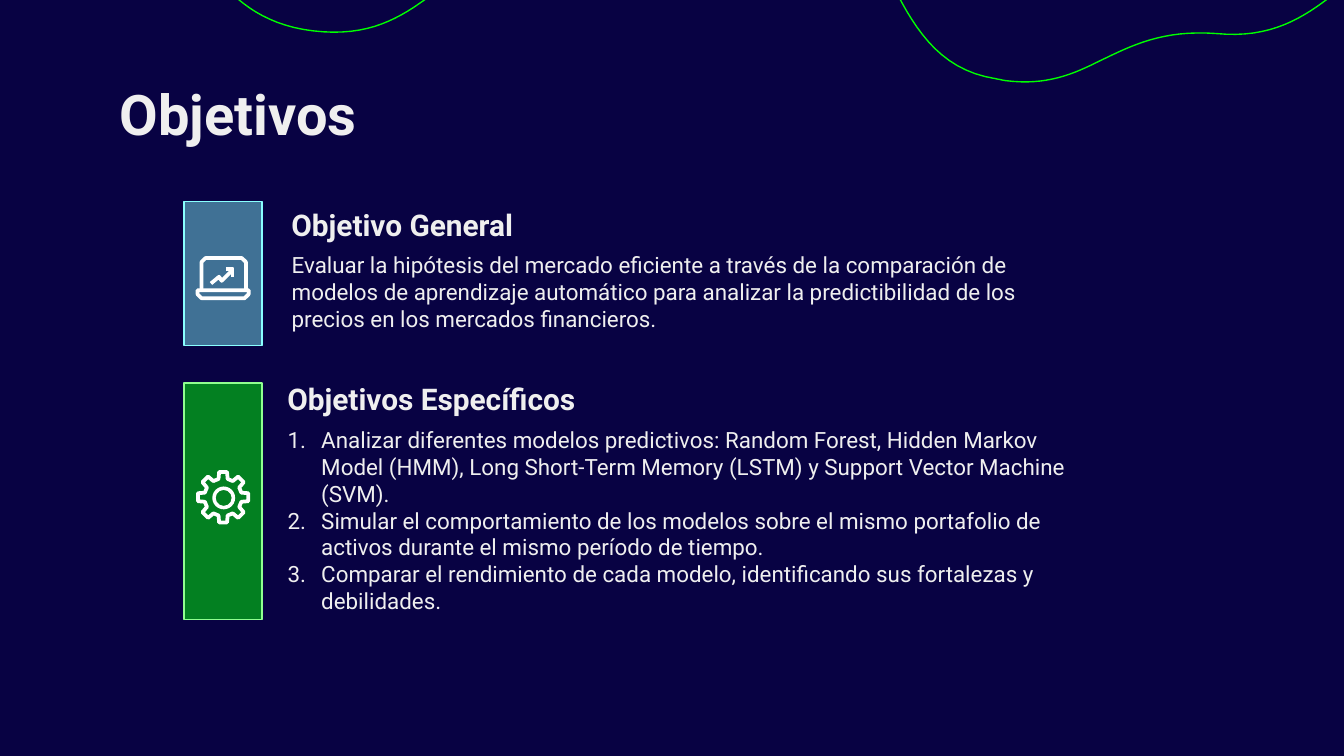
"""Build the "Objetivos" slide: one general objective and three specific ones."""
from math import cos, radians, sin

from lxml.etree import SubElement
from pptx import Presentation
from pptx.dml.color import RGBColor
from pptx.enum.shapes import MSO_SHAPE as Shape
from pptx.enum.text import MSO_ANCHOR as Anchor, MSO_AUTO_SIZE as AutoSize, PP_ALIGN as Align
from pptx.oxml.ns import qn
from pptx.util import Inches, Pt


def color(value):
    return RGBColor.from_string(value)


def draw_outline(shapes, points, line_color, width, close=False):
    corners = [(Inches(x), Inches(y)) for x, y in points]
    builder = shapes.build_freeform(*corners[0])
    builder.add_line_segments(corners[1:], close=close)
    shape = builder.convert_to_shape()
    shape.shadow.inherit = False
    shape.fill.background()
    shape.line.color.rgb = color(line_color)
    shape.line.width = Pt(width)
    SubElement(shape.element.spPr.find(qn("a:ln")), qn("a:round"))


presentation = Presentation()
presentation.slide_width = Inches(10)
presentation.slide_height = Inches(10 * 9 / 16)
slide = presentation.slides.add_slide(presentation.slide_layouts[3])
slide.background.fill.solid()
slide.background.fill.fore_color.rgb = color("080243")

wave_start = (0.77, -0.7)
wave_curves = [
    [(1.18, -0.65), (1.37, -0.44), (1.55, -0.23)],
    [(1.73, -0.03), (1.92, 0.18), (2.33, 0.23)],
    [(2.75, 0.28), (2.98, 0.13), (3.2, -0.03)],
    [(3.43, -0.18), (3.66, -0.34), (4.08, -0.29)],
    [(4.49, -0.24), (4.72, -0.45), (4.95, -0.66)],
    [(5.19, -0.87), (5.42, -1.07), (5.84, -1.02)],
    [(6.24, -0.94), (6.41, -0.6), (6.58, -0.24)],
    [(6.75, 0.11), (6.92, 0.47), (7.33, 0.57)],
    [(7.38, 0.58), (7.43, 0.59), (7.48, 0.6)],
    [(7.79, 0.64), (7.99, 0.55), (8.19, 0.45)],
    [(8.42, 0.34), (8.65, 0.22), (9.05, 0.25)],
    [(9.46, 0.29), (9.7, 0.13), (9.92, -0.04)],
    [(10.15, -0.21), (10.38, -0.38), (10.8, -0.33)],
]
wave = [wave_start]
for control_1, control_2, end in wave_curves:
    start = wave[-1]
    for step in range(1, 17):
        t = step / 16
        wave.append(tuple(
            (1 - t) ** 3 * a + 3 * (1 - t) ** 2 * t * b + 3 * (1 - t) * t ** 2 * c + t ** 3 * d
            for a, b, c, d in zip(start, control_1, control_2, end)
        ))
draw_outline(slide.shapes, wave, "00FF00", 0.75)

panels = [
    (1.5, 1.07, "89FFFF", 44, "89FFFF"),
    (2.85, 1.76, "00FF00", 50, "90FF90"),
]
for top, height, fill_color, opacity, line_color in panels:
    panel = slide.shapes.add_shape(
        Shape.RECTANGLE, Inches(1.37), Inches(top), Inches(0.58), Inches(height))
    panel.shadow.inherit = False
    panel.fill.solid()
    panel.fill.fore_color.rgb = color(fill_color)
    fill_element = panel.element.spPr.find(qn("a:solidFill"))[0]
    SubElement(fill_element, qn("a:alpha"), val=str(opacity * 1000))
    panel.line.color.rgb = color(line_color)
    panel.line.width = Pt(0.75)

title, general_body, specific_body = slide.placeholders
general_heading, specific_heading = [
    slide.shapes.add_textbox(0, 0, Inches(1), Inches(1)) for _ in range(2)]
texts = [
    (title, (0.79, 0.49, 8.43, 0.63), 30, True, ["Objetivos"]),
    (general_heading, (2.07, 1.44, 6.07, 0.8), 16, True, ["Objetivo General"]),
    (general_body, (2.07, 1.77, 6.07, 0.8), 12, False, [
        "Evaluar la hipótesis del mercado eficiente a través de la comparación de modelos de "
        "aprendizaje automático para analizar la predictibilidad de los precios en los "
        "mercados financieros."]),
    (specific_heading, (2.04, 2.73, 6.07, 0.43), 16, True, ["Objetivos Específicos"]),
    (specific_body, (2.04, 3.07, 6.07, 1.66), 12, False, [
        "Analizar diferentes modelos predictivos: Random Forest, Hidden Markov Model (HMM), "
        "Long Short-Term Memory (LSTM) y Support Vector Machine (SVM).",
        "Simular el comportamiento de los modelos sobre el mismo portafolio de activos durante "
        "el mismo período de tiempo.",
        "Comparar el rendimiento de cada modelo, identificando sus fortalezas y debilidades."]),
]
frame_format = {
    "word_wrap": True, "auto_size": AutoSize.NONE, "vertical_anchor": Anchor.TOP,
    "margin_left": Inches(0.1), "margin_top": Inches(0.1),
    "margin_right": Inches(0.1), "margin_bottom": Inches(0.1),
}
paragraph_format = {
    "alignment": Align.LEFT, "space_before": Pt(0), "space_after": Pt(0), "line_spacing": 1.0,
}
for shape, box, size, bold, lines in texts:
    shape.left, shape.top, shape.width, shape.height = map(Inches, box)
    frame = shape.text_frame
    for name, value in frame_format.items():
        setattr(frame, name, value)
    frame.text = "\n".join(lines)
    for paragraph in frame.paragraphs:
        for name, value in paragraph_format.items():
            setattr(paragraph, name, value)
        font = paragraph.runs[0].font
        for name, value in {"name": "Roboto", "size": Pt(size), "bold": bold}.items():
            setattr(font, name, value)
        font.color.rgb = color("EFEFEF")
        properties = paragraph._p.get_or_add_pPr()
        if shape is specific_body:
            properties.set("marL", str(Inches(0.25)))
            properties.set("indent", str(Inches(-0.25)))
            bullet_color = SubElement(properties, qn("a:buClr"))
            SubElement(bullet_color, qn("a:srgbClr"), val="EFEFEF")
            SubElement(properties, qn("a:buFont"), typeface="Roboto")
            SubElement(properties, qn("a:buAutoNum"), type="arabicPeriod")
        else:
            properties.set("marL", "0")
            properties.set("indent", "0")
            SubElement(properties, qn("a:buNone"))

gear_x, gear_y = 1.66, 3.7
gear_profile = [(0.14, -14), (0.19, -9), (0.19, 9), (0.14, 14)]
gear = [
    (gear_x + radius * cos(radians(45 * tooth + offset)),
     gear_y + radius * sin(radians(45 * tooth + offset)))
    for tooth in range(8) for radius, offset in gear_profile
]
gear_icon = slide.shapes.add_group_shape()
draw_outline(gear_icon.shapes, gear, "FFFFFF", 2, close=True)
hub = gear_icon.shapes.add_shape(
    Shape.DONUT, Inches(1.58), Inches(3.62), Inches(0.17), Inches(0.17))
hub.adjustments[0] = 0.15
hub.shadow.inherit = False
hub.fill.solid()
hub.fill.fore_color.rgb = color("FFFFFF")
hub.line.fill.background()

laptop_icon = slide.shapes.add_group_shape()
screen = [(1.5, 2.16), (1.5, 1.95), (1.53, 1.92), (1.8, 1.92), (1.83, 1.95), (1.83, 2.16)]
base = [(1.47, 2.16), (1.85, 2.16), (1.85, 2.19), (1.82, 2.22), (1.5, 2.22), (1.47, 2.19)]
trend = [(1.57, 2.11), (1.63, 2.06), (1.65, 2.09), (1.73, 2.01)]
trend_head = [(1.68, 2), (1.73, 2), (1.73, 2.06)]
for points, close in [(screen, False), (base, True), (trend, False), (trend_head, False)]:
    draw_outline(laptop_icon.shapes, points, "FFFFFF", 2, close)

presentation.save("out.pptx")
